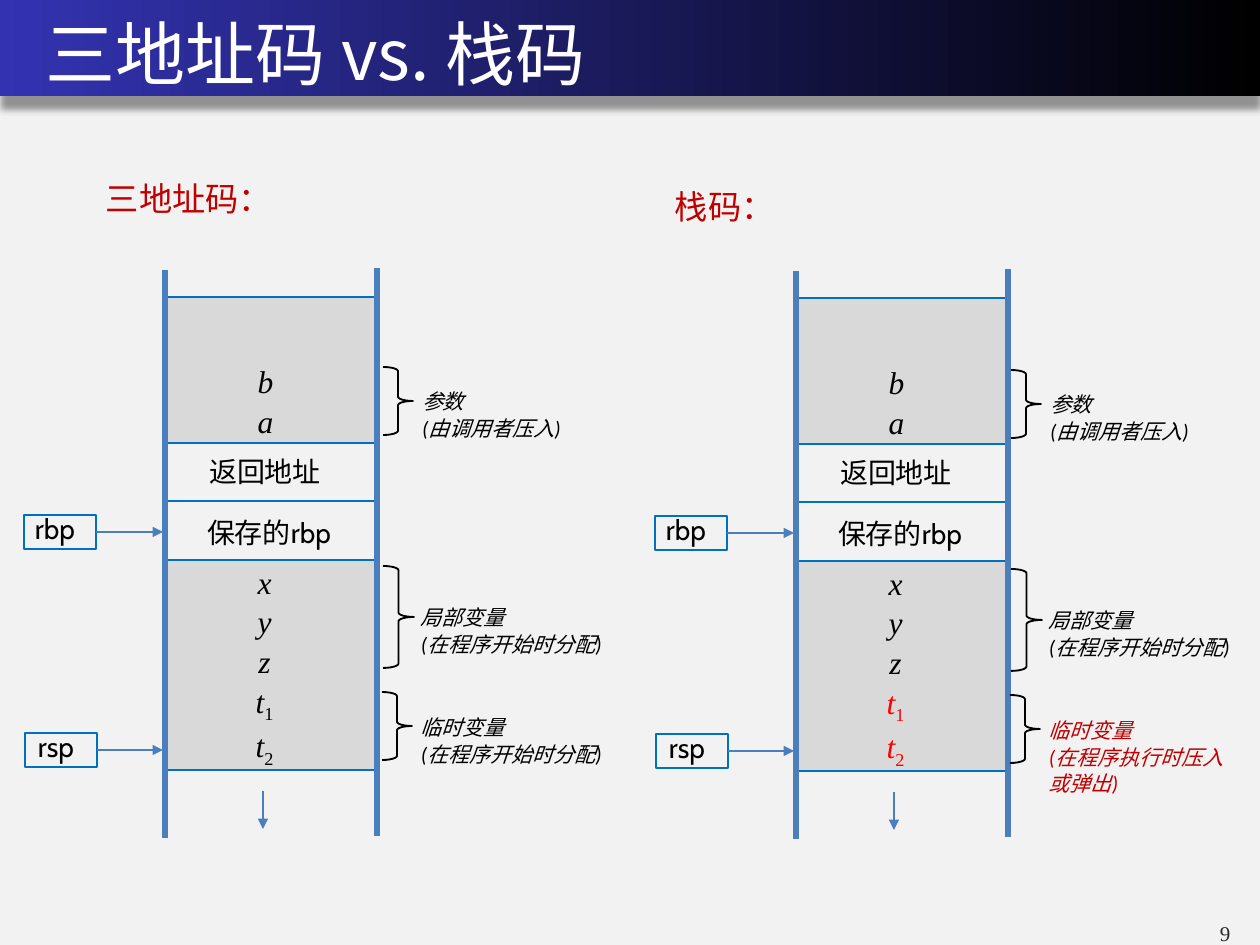
"""Builds a slide comparing stack frames of three-address code and stack code."""
from dataclasses import dataclass

from lxml.etree import SubElement
from pptx import Presentation
from pptx.dml.color import RGBColor
from pptx.enum.shapes import MSO_CONNECTOR as Conn, MSO_SHAPE as Shape
from pptx.enum.text import MSO_ANCHOR as Anchor, MSO_AUTO_SIZE as AutoSize, PP_ALIGN as Align
from pptx.oxml.ns import qn
from pptx.util import Emu, Pt


@dataclass(frozen=True)
class Theme:
    back: str = "F2F2F2"
    bar_from: str = "3333B2"
    bar_to: str = "000000"
    white: str = "FFFFFF"
    ink: str = "000000"
    number: str = "292929"
    accent: str = "C00000"
    hot: str = "FF0000"
    cell: str = "D9D9D9"
    border: str = "0070C0"
    wall: str = "4B7EBC"
    title_size: int = 40
    heading_size: int = 19
    var_size: int = 18
    label_size: int = 16
    note_size: int = 12
    cjk: str = "Noto Sans CJK SC"
    label: str = "Cabin"
    body: str = "Calibri"
    serif: str = "Times New Roman"


T = Theme()
PX = 914400 / 126

TITLE = "三地址码 vs. 栈码"
NUMBER = "9"
PARAMS = ["b", "a"]
LOCALS = ["x", "y", "z"]
TEMPS = ["1", "2"]
CELLS = [((164, 560, 213, 210), T.cell), ((165, 501, 213, 59), None), ((164, 297, 213, 146), T.cell)]
WALLS = [(165, 270, 165, 838), (377, 268, 377, 836)]
GROWTH = (263, 791, 263, 829)
CELL_LABELS = [("保存的rbp", (193, 513, 152, 69)), ("返回地址", (181, 452, 168, 44))]
REGISTERS = [("rbp", 24, 515), ("rsp", 25, 733)]
BRACES = [(383, 367, 30, 68), (383, 566, 31, 102), (382, 692, 30, 68)]
NOTE_BOXES = [(422, 386, 158, 54), (421, 602, 200, 54), (421, 712, 192, 54)]
SHARED_NOTES = [["参数", "(由调用者压入)"], ["局部变量", "(在程序开始时分配)"]]
PANELS = [
    dict(heading="三地址码：", heading_at=(106, 175), frame=(0, 0), notes=(0, 0),
         temp_note=["临时变量", "(在程序开始时分配)"], temp_color=T.ink, note_color=T.ink),
    dict(heading="栈码：", heading_at=(675, 183), frame=(631, 1), notes=(628, 3),
         temp_note=["临时变量", "(在程序执行时压入或弹出)"], temp_color=T.hot, note_color=T.accent),
]


def px(*values):
    return [Emu(round(v * PX)) for v in values]


def shift(box, by):
    return (box[0] + by[0], box[1] + by[1], *box[2:])


def rgb(value):
    return RGBColor.from_string(value)


def style(font, name, size, color, italic=False):
    font.name, font.size, font.italic, font.bold = name, Pt(size), italic, False
    font.color.rgb = rgb(color)


def set_frame(tf, top=3):
    tf.word_wrap, tf.auto_size, tf.vertical_anchor = True, AutoSize.NONE, Anchor.TOP
    tf.margin_left = tf.margin_right = tf.margin_bottom = 0
    tf.margin_top = px(top)[0]


def add_text(s, box, lines, name, size, color=T.ink, italic=False, align=Align.LEFT):
    tf = s.shapes.add_textbox(*px(*box)).text_frame
    set_frame(tf)
    tf.text = "\n".join(lines)
    for i, p in enumerate(tf.paragraphs):
        p.alignment = align
        if i:
            p.space_before = Pt(1)
        for r in p.runs:
            style(r.font, name, size, color, italic)
    return tf


def add_shape(s, kind, box, line, width, fill=None):
    sp = s.shapes.add_shape(kind, *px(*box))
    sp.shadow.inherit = False
    if fill:
        sp.fill.solid()
        sp.fill.fore_color.rgb = rgb(fill)
    else:
        sp.fill.background()
    sp.line.color.rgb = rgb(line)
    sp.line.width = Pt(width)
    return sp


def add_line(s, ends, width, arrow=False):
    c = s.shapes.add_connector(Conn.STRAIGHT, *px(*ends))
    c.line.color.rgb = rgb(T.wall)
    c.line.width = Pt(width)
    if arrow:
        SubElement(c.line._get_or_add_ln(), qn("a:tailEnd"), type="triangle")
    SubElement(c._element.spPr, qn("a:effectLst"))


def add_header(s):
    bar = s.shapes.add_shape(Shape.RECTANGLE, *px(0, 0, 1260, 96))
    bar.shadow.inherit = False
    bar.line.fill.background()
    bar.fill.gradient()
    bar.fill.gradient_angle = 180
    for stop, color, pos in zip(bar.fill.gradient_stops, (T.bar_to, T.bar_from), (0, 1)):
        stop.color.rgb, stop.position = rgb(color), pos
    effects = bar._element.spPr.find(qn("a:effectLst"))
    shadow = SubElement(effects, qn("a:outerShdw"), blurRad=str(Pt(4)), dist=str(Pt(7)),
                        dir="5400000", algn="t", rotWithShape="0")
    color = SubElement(shadow, qn("a:srgbClr"), val=T.ink)
    SubElement(color, qn("a:alpha"), val="40000")
    title = s.shapes.title
    title._element.addprevious(bar._element)
    title.left, title.top, title.width, title.height = px(46, 8, 913, 87)
    set_frame(title.text_frame)
    title.text_frame.text = TITLE
    p = title.text_frame.paragraphs[0]
    p.alignment = Align.LEFT
    style(p.runs[0].font, T.cjk, T.title_size, T.white)


def add_variables(s, by, temp_color):
    variable = dict(name=T.serif, size=T.var_size, italic=True, align=Align.CENTER)
    add_text(s, shift((180, 359, 171, 79), by), PARAMS, **variable)
    tf = add_text(s, shift((179, 560, 171, 199), by), LOCALS + ["t"] * len(TEMPS), **variable)
    for p, index in zip(tf.paragraphs[len(LOCALS):], TEMPS):
        p.runs[0].font.color.rgb = rgb(temp_color)
        r = p.add_run()
        r.text = index
        style(r.font, T.serif, T.var_size, temp_color)
        r._r.get_or_add_rPr().set("baseline", "-25000")


def add_stack(s, by, temp_color):
    for box, fill in CELLS:
        add_shape(s, Shape.RECTANGLE, shift(box, by), T.border, 0.75, fill)
    for x1, y1, x2, y2 in WALLS:
        add_line(s, (*shift((x1, y1), by), *shift((x2, y2), by)), 3)
    add_line(s, (*shift(GROWTH[:2], by), *shift(GROWTH[2:], by)), 0.75, True)
    for text, box in CELL_LABELS:
        add_text(s, shift(box, by), [text], T.label, T.label_size, align=Align.CENTER)
    add_variables(s, by, temp_color)
    for text, left, top in REGISTERS:
        x, y = shift((left, top), by)
        add_text(s, (x - 7, y - 6, 76, 35), [text], T.label, T.label_size, align=Align.CENTER)
        add_shape(s, Shape.RECTANGLE, (x, y, 72, 34), T.border, 0.75)
        add_line(s, (x + 72, y + 17, by[0] + 163, y + 17), 0.75, True)


def add_notes(s, panel):
    notes = SHARED_NOTES + [panel["temp_note"]]
    colors = [T.ink, T.ink, panel["note_color"]]
    for brace, box, lines, color in zip(BRACES, NOTE_BOXES, notes, colors):
        sp = add_shape(s, Shape.RIGHT_BRACE, shift(brace, panel["notes"]), T.ink, 1.06)
        sp.adjustments[0] = 0.14
        add_text(s, shift(box, panel["notes"]), lines, T.body, T.note_size, color, True)


def main():
    prs = Presentation()
    prs.slide_width, prs.slide_height = px(1260, 945)
    s = prs.slides.add_slide(prs.slide_layouts[5])
    s.background.fill.solid()
    s.background.fill.fore_color.rgb = rgb(T.back)
    add_header(s)
    for panel in PANELS:
        add_stack(s, panel["frame"], panel["temp_color"])
        add_notes(s, panel)
        add_text(s, (*panel["heading_at"], 267, 42), [panel["heading"]], T.body, T.heading_size, T.accent)
    tf = add_text(s, (1220, 921, 40, 22), [NUMBER], T.serif, T.note_size, T.number)
    tf.paragraphs[0].line_spacing = Pt(12.2)
    prs.save("out.pptx")


if __name__ == "__main__":
    main()
